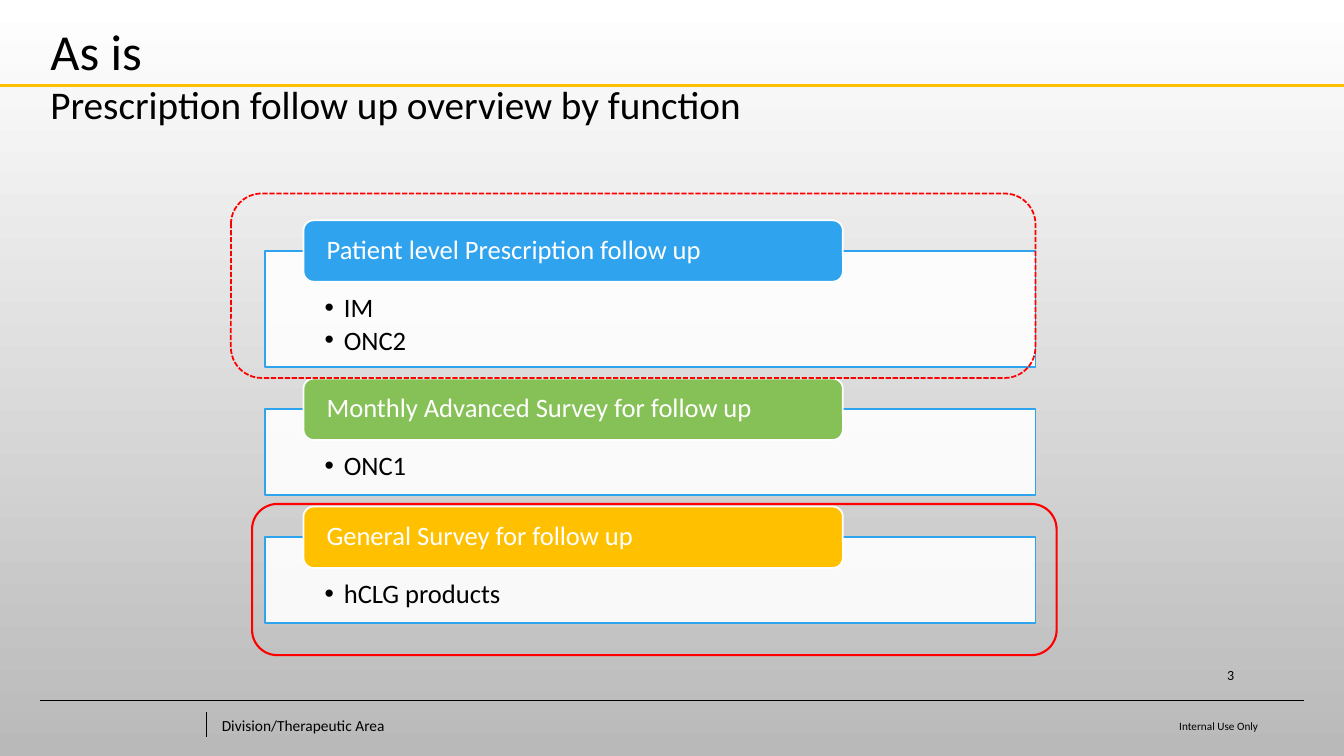
from dataclasses import dataclass
from typing import Any

from lxml import etree
from pptx import Presentation
from pptx import util as u
from pptx.dml.color import RGBColor
from pptx.enum import dml, shapes, text
from pptx.oxml import ns

BLACK = RGBColor(0x00, 0x00, 0x00)
WHITE = RGBColor(0xFF, 0xFF, 0xFF)
GRAY = RGBColor(0xB9, 0xB9, 0xB9)
BLUE = RGBColor(0x2F, 0xA3, 0xEE)
GREEN = RGBColor(0x86, 0xC1, 0x57)
GOLD = RGBColor(0xFF, 0xC0, 0x00)
RED = RGBColor(0xFF, 0x00, 0x00)
FONT = "Calibri"
LEFT, RIGHT = text.PP_ALIGN.LEFT, text.PP_ALIGN.RIGHT
TOP, MIDDLE, BOTTOM = (
    text.MSO_ANCHOR.TOP, text.MSO_ANCHOR.MIDDLE, text.MSO_ANCHOR.BOTTOM)
ROUND = shapes.MSO_SHAPE.ROUNDED_RECTANGLE

Box = tuple[float, float, float, float]


@dataclass
class Card:
    head: str
    items: list[str]
    color: RGBColor
    height: float


@dataclass
class Rule:
    start: tuple[float, float]
    end: tuple[float, float]
    color: RGBColor
    width: float


@dataclass
class Label:
    words: str
    box: Box
    size: float
    align: Any
    anchor: Any
    inset: Box


@dataclass
class Ring:
    box: Box
    width: float
    dash: Any


CARDS = [
    Card("Patient level Prescription follow up", ["IM", "ONC2"], BLUE, 1.15),
    Card("Monthly Advanced Survey for follow up", ["ONC1"], GREEN, 0.85),
    Card("General Survey for follow up", ["hCLG products"], GOLD, 0.85),
]
RULES = [
    Rule((0.4, 6.95), (12.93, 6.95), BLACK, 0.5),
    Rule((2.05, 7.06), (2.05, 7.31), BLACK, 0.5),
    Rule((0, 0.85), (13.33, 0.85), GOLD, 2.25),
]
LABELS = [
    Label("Division/Therapeutic Area", (2.2, 7.07, 4.14, 0.25), 11,
          LEFT, MIDDLE, (0, 0, 0, 0)),
    Label("Internal Use Only", (8.97, 7.03, 3.51, 0.25), 8,
          RIGHT, BOTTOM, (0, 0, 0, 0.01)),
    Label("3", (11.5, 6.43, 0.84, 0.4), 10,
          RIGHT, BOTTOM, (0.1, 0.05, 0.1, 0.05)),
]
RINGS = [
    Ring((2.29, 1.92, 7.98, 1.83), 1.25, dml.MSO_LINE.SQUARE_DOT),
    Ring((2.5, 5, 7.98, 1.5), 1.5, dml.MSO_LINE.SOLID),
]
CARD_LEFT, CARD_TOP, CARD_WIDTH, CARD_GAP = 2.63, 2.49, 7.64, 0.42
HEAD_LEFT, HEAD_WIDTH, HEAD_HEIGHT = 3.01, 5.35, 0.61


def place(shape: Any, box: Box) -> None:
    shape.left, shape.top, shape.width, shape.height = map(u.Inches, box)


def frame(shape: Any, anchor: Any, inset: Box) -> None:
    body = shape.text_frame
    body.word_wrap = True
    body.auto_size = text.MSO_AUTO_SIZE.NONE
    body.vertical_anchor = anchor
    (body.margin_left, body.margin_top,
     body.margin_right, body.margin_bottom) = map(u.Inches, inset)


def style(para: Any, size: float, color: RGBColor, align: Any = LEFT) -> None:
    para.alignment = align
    para.space_before = u.Pt(0)
    for run in para.runs:
        run.font.name = FONT
        run.font.size = u.Pt(size)
        run.font.bold = False
        run.font.color.rgb = color


def edge(shape: Any, color: RGBColor, width: float) -> None:
    shape.line.color.rgb = color
    shape.line.width = u.Pt(width)


def bullet(para: Any) -> None:
    props = para._p.get_or_add_pPr()
    props.set("marL", str(u.Inches(0.19)))
    props.set("indent", str(u.Inches(-0.19)))
    etree.SubElement(props, ns.qn("a:buFont")).set("typeface", "Arial")
    etree.SubElement(props, ns.qn("a:buChar")).set("char", "•")


def draw_card(slide: Any, card: Card, body: Any, top: float) -> None:
    place(body, (CARD_LEFT, top, CARD_WIDTH, card.height))
    body.fill.solid()
    body.fill.fore_color.rgb = WHITE
    tint = body._element.spPr.find(ns.qn("a:solidFill"))[0]
    etree.SubElement(tint, ns.qn("a:alpha")).set("val", "90000")
    edge(body, BLUE, 1.25)
    body.text_frame.text = "\n".join(card.items)
    frame(body, TOP, (0.59, 0.43, 0.59, 0.15))
    for para in body.text_frame.paragraphs:
        style(para, 19, BLACK)
        para.line_spacing = 0.9
        para.space_after = u.Pt(2.85)
        bullet(para)

    head = slide.shapes.add_shape(ROUND, 0, 0, 0, 0)
    place(head, (HEAD_LEFT, top - HEAD_HEIGHT / 2, HEAD_WIDTH, HEAD_HEIGHT))
    head.shadow.inherit = False
    head.fill.solid()
    head.fill.fore_color.rgb = card.color
    edge(head, WHITE, 1.25)
    head.text_frame.text = card.head
    frame(head, MIDDLE, (0.2, 0, 0.2, 0))
    para = head.text_frame.paragraphs[0]
    style(para, 19, WHITE)
    para.line_spacing = 0.9


def draw_rule(slide: Any, rule: Rule) -> None:
    ends = map(u.Inches, rule.start + rule.end)
    line = slide.shapes.add_connector(shapes.MSO_CONNECTOR.STRAIGHT, *ends)
    edge(line, rule.color, rule.width)
    etree.SubElement(line._element.spPr, ns.qn("a:effectLst"))


def draw_label(slide: Any, label: Label) -> None:
    note = slide.shapes.add_textbox(*map(u.Inches, label.box))
    note.text_frame.text = label.words
    frame(note, label.anchor, label.inset)
    style(note.text_frame.paragraphs[0], label.size, BLACK, label.align)


def draw_ring(slide: Any, ring: Ring) -> None:
    shape = slide.shapes.add_shape(ROUND, *map(u.Inches, ring.box))
    shape.shadow.inherit = False
    shape.fill.background()
    edge(shape, RED, ring.width)
    shape.line.dash_style = ring.dash


def draw_title(title: Any) -> None:
    place(title, (0.4, 0.15, 8.56, 1.18))
    title.text_frame.text = "As is\nPrescription follow up overview by function"
    frame(title, TOP, (0.1, 0.05, 0.1, 0.05))
    for para, size in zip(title.text_frame.paragraphs, (36, 28)):
        style(para, size, BLACK)


def main() -> None:
    deck = Presentation()
    deck.slide_width, deck.slide_height = u.Inches(13.33), u.Inches(7.5)
    slide = deck.slides.add_slide(deck.slide_layouts.get_by_name("Comparison"))
    fill = slide.background.fill
    fill.gradient()
    fill.gradient_angle = 270
    for stop, color in zip(fill.gradient_stops, (WHITE, GRAY)):
        stop.color.rgb = color

    title, *bodies = slide.placeholders
    draw_title(title)
    top = CARD_TOP
    for card, body in zip(CARDS, bodies):
        draw_card(slide, card, body, top)
        top += card.height + CARD_GAP
    for spare in bodies[len(CARDS):]:
        spare._element.getparent().remove(spare._element)
    for ring in RINGS:
        draw_ring(slide, ring)
    for rule in RULES:
        draw_rule(slide, rule)
    for label in LABELS:
        draw_label(slide, label)
    deck.save("out.pptx")


if __name__ == "__main__":
    main()
